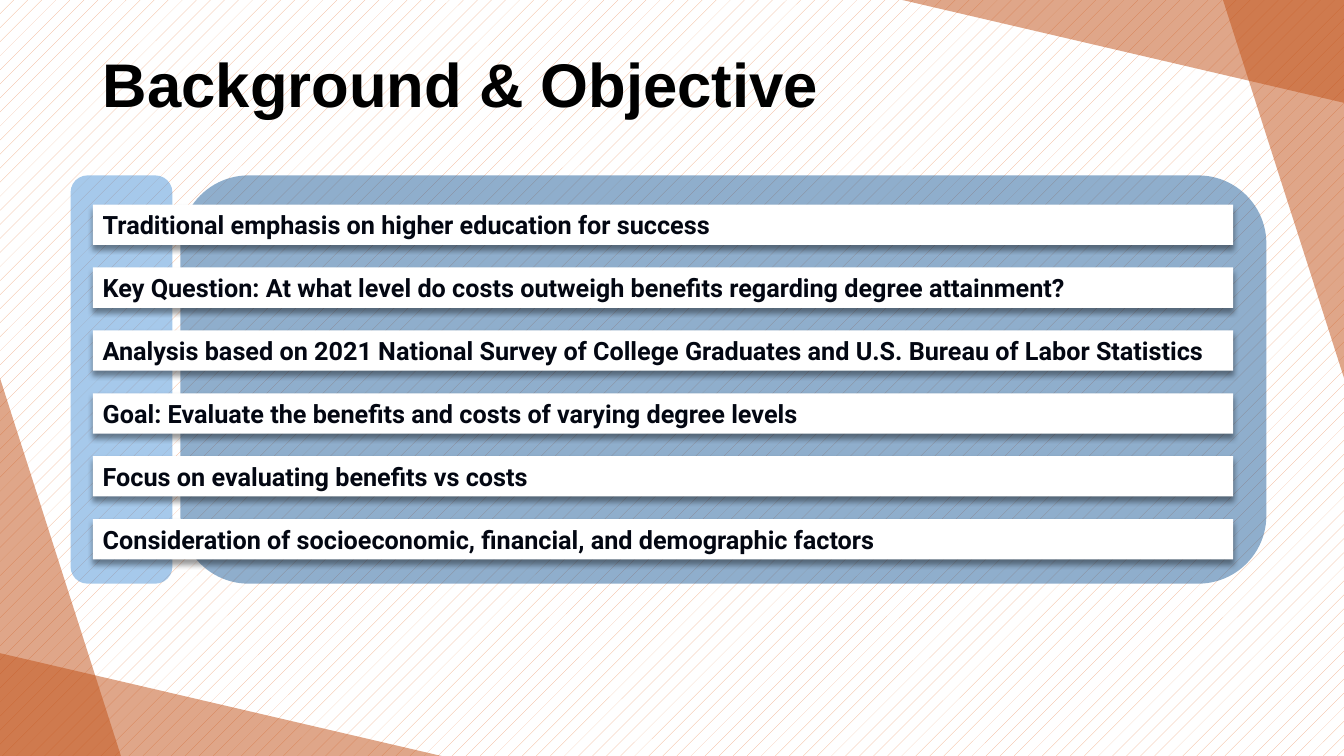
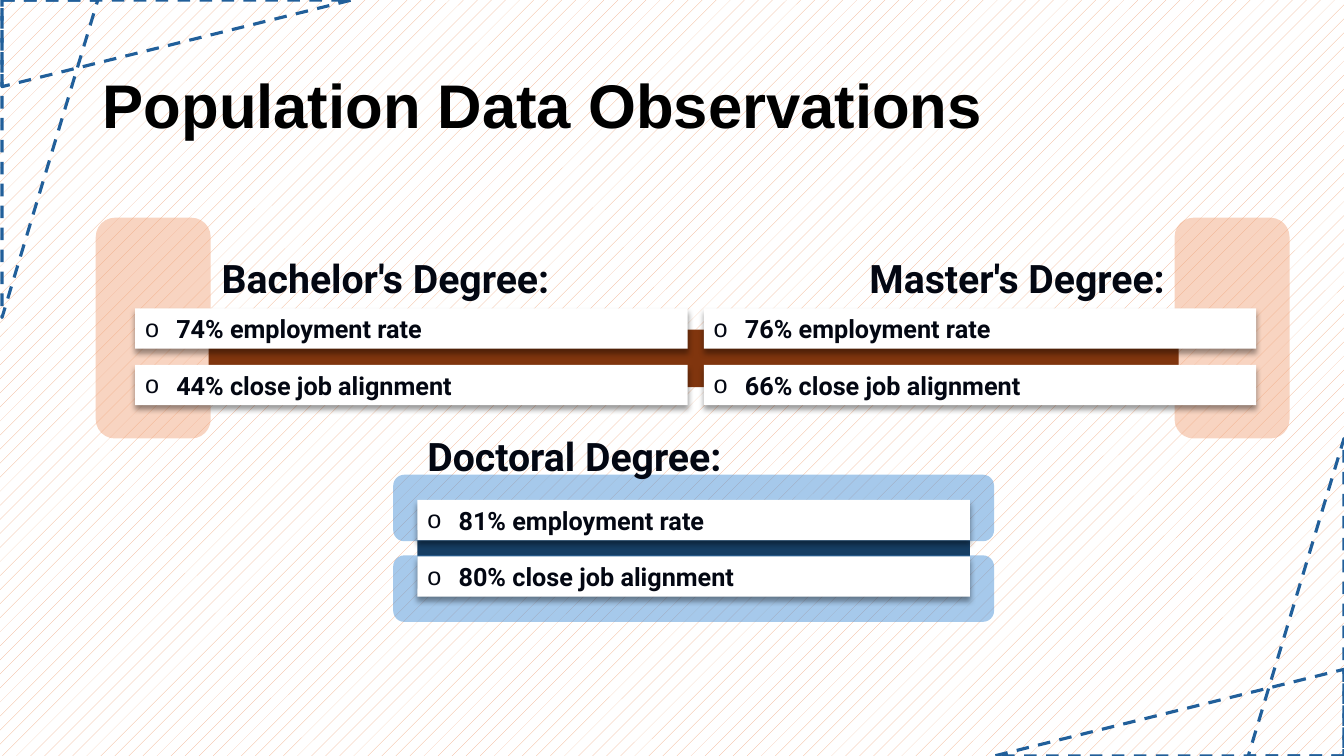
import pptx
import pptx.util
import pptx.dml.color
import pptx.enum.dml
import pptx.enum.shapes
import pptx.enum.text
import pptx.oxml
import pptx.oxml.ns
import lxml.etree

KIND = pptx.enum.shapes.MSO_SHAPE
ALIGN = pptx.enum.text.PP_ALIGN
ANCHOR = pptx.enum.text.MSO_ANCHOR
FIT = pptx.enum.text.MSO_AUTO_SIZE
WIDE, HIGH = 13.33, 7.5
INK, WHITE, PEACH, RUST, BROWN = "030712", "FFFFFF", "F2AA84", "C04F15", "80350E"
SKY, BLUE, NAVY = "4E95D9", "215F9A", "163E64"
TITLE = {"size": pptx.util.Pt(44), "name": "Arial", "bold": True}
HEAD = {"size": pptx.util.Pt(28), "name": "Roboto", "bold": True}
BODY = {"size": pptx.util.Pt(18), "name": "Roboto", "bold": True}
BAR, GAP = 0.4, 0.56


def rgb(code):
    """Turn a hex string into a colour."""
    return pptx.dml.color.RGBColor.from_string(code)


def inch(box):
    """Turn a box in inches into lengths."""
    return [pptx.util.Inches(n) for n in box]


def child(node, tag, **vals):
    """Add a drawing element with its attributes to a node."""
    part = lxml.etree.SubElement(node, pptx.oxml.ns.qn("a:" + tag))
    for key, val in vals.items():
        part.set(key, str(val))
    return part


def write(shape, text, style, color=INK, align=ALIGN.LEFT, **frame):
    """Put one styled paragraph in a shape and return it."""
    body = shape.text_frame
    for key, val in {"word_wrap": True, "vertical_anchor": ANCHOR.TOP,
                     "auto_size": FIT.SHAPE_TO_FIT_TEXT, **frame}.items():
        setattr(body, key, val)
    line = body.paragraphs[0]
    line.alignment = align
    run = line.add_run()
    run.text = text
    for key, val in style.items():
        setattr(run.font, key, val)
    run.font.color.rgb = rgb(color)
    return line


def block(shapes, kind, box, color=None, clear=False):
    """Add a plain shape, filled or empty, solid or half clear."""
    shape = shapes.add_shape(kind, *inch(box))
    shape.shadow.inherit = False
    shape.line.fill.background()
    if color is None:
        shape.fill.background()
        return shape
    shape.fill.solid()
    shape.fill.fore_color.rgb = rgb(color)
    if clear:
        tone = shape.fill._xPr.find(".//" + pptx.oxml.ns.qn("a:srgbClr"))
        child(tone, "alpha", val=50000)
    return shape


def pad(slide, box, color):
    """Add a half clear rounded panel."""
    return block(slide.shapes, KIND.ROUNDED_RECTANGLE, box, color, True)


def label(slide, box, text, align=ALIGN.LEFT):
    """Add a degree heading."""
    write(slide.shapes.add_textbox(*inch(box)), text, HEAD, align=align)


def bars(slide, left, top, wide, step, items, mark=False):
    """Stack white shadowed bars at an equal step."""
    for row, text in enumerate(items):
        bar = block(slide.shapes, KIND.RECTANGLE, (left, top + row * step, wide, BAR), WHITE)
        glow = bar._element.spPr.find(pptx.oxml.ns.qn("a:effectLst"))
        cast = child(glow, "outerShdw", blurRad=50800, dist=38100, dir=5400000,
                     algn="t", rotWithShape=0)
        child(child(cast, "srgbClr", val="000000"), "alpha", val=40000)
        line = write(bar, text, BODY)
        if mark:
            form = line._p.get_or_add_pPr()
            form.set("marL", str(pptx.util.Inches(0.31)))
            form.set("indent", str(pptx.util.Inches(-0.31)))
            child(form, "buFont", typeface="Arial")
            child(form, "buChar", char="o")


def corner(slide, turn, sizes, color, dash=False, shift=0):
    """Lay right triangles into the slide corner that the turn picks."""
    group = slide.shapes.add_group_shape().shapes
    for wide, high in sizes:
        left = WIDE - wide if turn >= 180 else shift
        top = 0 if turn in (90, 180) else HIGH - high
        across, down = (high, wide) if turn % 180 else (wide, high)
        box = (left + (wide - across) / 2, top + (high - down) / 2, across, down)
        wedge = block(group, KIND.RIGHT_TRIANGLE, box, None if dash else color, not dash)
        wedge.rotation = turn
        if dash:
            wedge.line.color.rgb = rgb(color)
            wedge.line.width = pptx.util.Pt(2.25)
            wedge.line.dash_style = pptx.enum.dml.MSO_LINE.DASH


def page(deck, text, top):
    """Add a patterned slide with its title."""
    slide = deck.slides.add_slide(deck.slide_layouts[5])
    fill = slide.background.fill
    fill.patterned()
    fill.pattern = pptx.enum.dml.MSO_PATTERN.PERCENT_5
    fill.fore_color.rgb, fill.back_color.rgb = rgb(PEACH), rgb(WHITE)
    title = slide.shapes.title
    title.left, title.top, title.width, title.height = inch((0.92, top, 11.5, 0.94))
    line = write(title, text, TITLE, "000000", vertical_anchor=ANCHOR.MIDDLE, auto_size=FIT.NONE)
    line.line_spacing = 0.9
    return slide


def goals(slide, box, items):
    """Place the list of aims on its two panels."""
    left, top, wide, high = box
    pad(slide, (left, top, 1.01, high), SKY)
    pad(slide, (left + 1.09, top, wide - 1.09, high), BLUE)
    bars(slide, left + 0.22, top + 0.29, wide - 0.55, 0.624, items)


def duo(slide, box, sides):
    """Place two degrees side by side, joined by a band."""
    left, top, wide, high = box
    for start in (left, left + wide - 1.14):
        pad(slide, (start, top, 1.14, high), PEACH)
    block(slide.shapes, KIND.RECTANGLE, (left + 1.12, top + 1.11, wide - 2.22, 0.57), BROWN)
    spots = ((1.15, 0.39, ALIGN.LEFT), (5.22, 6.03, ALIGN.RIGHT))
    for (text, items), (head, start, align) in zip(sides, spots):
        label(slide, (left + head, top + 0.31, 5.48, 0.57), text, align)
        bars(slide, left + start, top + 0.9, 5.48, GAP, items, True)


def solo(slide, box, text, items):
    """Place one degree on two stacked panels."""
    left, top, wide, high = box
    inner = wide - 0.48
    block(slide.shapes, KIND.RECTANGLE, (left + 0.24, top + 0.55, inner, 0.58), NAVY)
    for start in (top, top + high - 0.66):
        pad(slide, (left, start, wide, 0.66), SKY)
    label(slide, (left + 0.24, top - 0.47, inner, 0.57), text)
    bars(slide, left + 0.24, top + 0.25, inner, GAP, items, True)


def main():
    """Build and save both slides."""
    deck = pptx.Presentation()
    deck.slide_width, deck.slide_height = inch((WIDE, HIGH))

    slide = page(deck, "Background & Objective", 0.4)
    goals(slide, (0.7, 1.74, 11.86, 4.05), [
        "Traditional emphasis on higher education for success",
        "Key Question: At what level do costs outweigh benefits regarding degree attainment?",
        "Analysis based on 2021 National Survey of College Graduates and U.S. Bureau of Labor Statistics",
        "Goal: Evaluate the benefits and costs of varying degree levels",
        "Focus on evaluating benefits vs costs",
        "Consideration of socioeconomic, financial, and demographic factors"])
    for turn in (180, 0):
        corner(slide, turn, ((1.2, 3.75), (4.38, 1.02)), RUST)

    slide = page(deck, "Population Data Observations", 0.61)
    for turn in (270, 90):
        corner(slide, turn, ((3.47, 0.86), (0.95, 3.15)), BLUE, True, 0.02)
    duo(slide, (0.95, 2.16, 11.84, 2.19), (
        ("Bachelor's Degree:", ("74% employment rate", "44% close job alignment")),
        ("Master's Degree:", ("76% employment rate", "66% close job alignment"))))
    solo(slide, (3.9, 4.71, 5.96, 1.46), "Doctoral Degree:",
         ("81% employment rate", "80% close job alignment"))
    deck.save("out.pptx")


if __name__ == "__main__":
    main()
